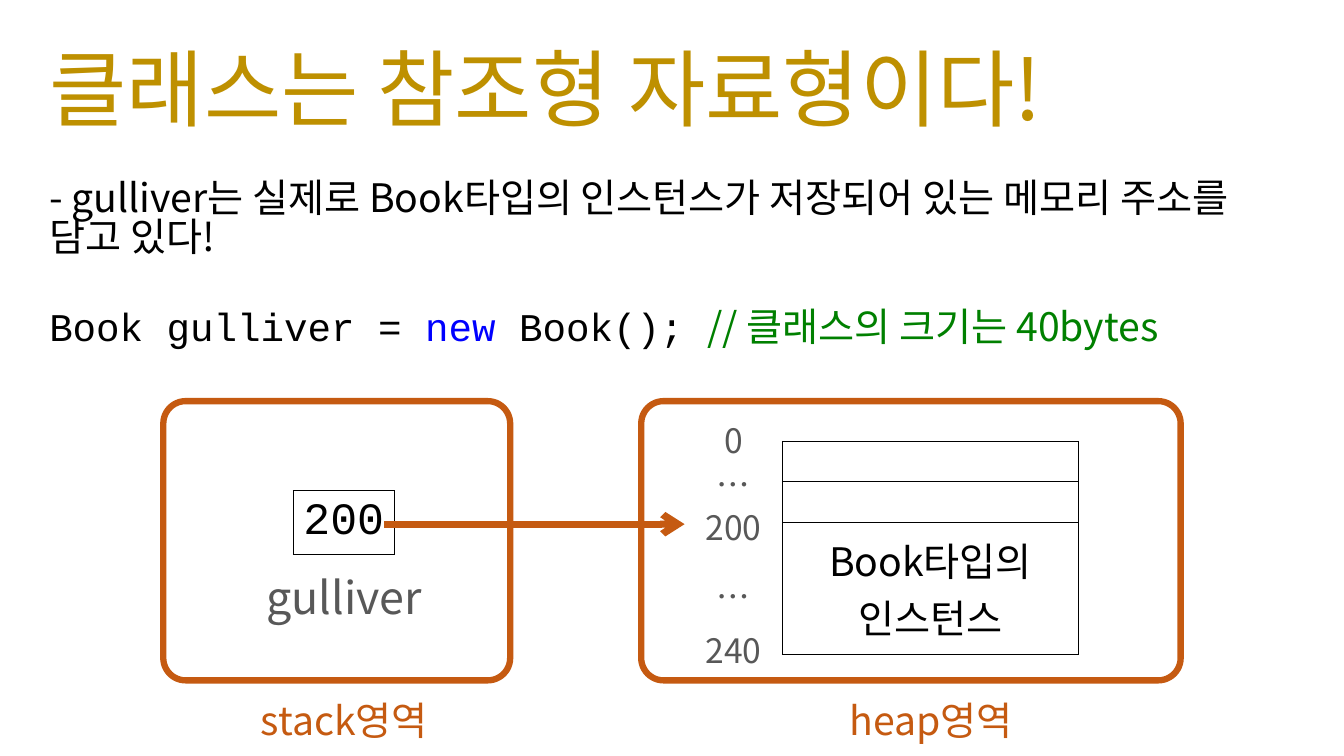
from dataclasses import dataclass

from lxml.etree import SubElement
from pptx import Presentation
from pptx.dml.color import RGBColor
from pptx.enum.shapes import MSO_CONNECTOR, MSO_SHAPE
from pptx.enum.text import MSO_ANCHOR, PP_ALIGN
from pptx.oxml.ns import qn
from pptx.util import Pt

PX = 9144


@dataclass(frozen=True)
class Theme:
    sans: str = "Noto Sans CJK KR"
    mono: str = "Courier New"
    gold: str = "BE9000"
    black: str = "000000"
    gray: str = "585858"
    blue: str = "0000FF"
    green: str = "008000"
    rust: str = "C55A11"
    head: int = 60
    large: int = 32
    body: int = 28
    small: int = 24


THEME = Theme()


def scale(*sizes):
    return [size * PX for size in sizes]


def style(run, size, color, face=THEME.sans):
    run.font.size = Pt(size)
    run.font.color.rgb = RGBColor.from_string(color)
    run.font.name = face
    SubElement(run._r.get_or_add_rPr(), qn("a:ea"), typeface=face)


def format_text(frame, size, color, face=THEME.sans, align=PP_ALIGN.CENTER):
    for line in frame.paragraphs:
        line.alignment = align
        for run in line.runs:
            style(run, size, color, face)


def add_text(slide, box, text, size, color, align=PP_ALIGN.CENTER, anchor=MSO_ANCHOR.TOP):
    frame = slide.shapes.add_textbox(*scale(*box)).text_frame
    frame.word_wrap = True
    frame.vertical_anchor = anchor
    frame.text = text
    format_text(frame, size, color, align=align)
    return frame


def add_title(slide, box, text):
    title = slide.shapes.title
    title.left, title.top, title.width, title.height = scale(*box)
    frame = title.text_frame
    frame.text = text
    frame.vertical_anchor = MSO_ANCHOR.MIDDLE
    frame.paragraphs[0].line_spacing = 0.9
    format_text(frame, THEME.head, THEME.gold, align=PP_ALIGN.LEFT)


def add_code(slide, box, parts):
    frame = add_text(slide, box, "", THEME.body, THEME.black, anchor=MSO_ANCHOR.MIDDLE)
    line = frame.paragraphs[0]
    line.alignment = PP_ALIGN.LEFT
    for text, color, face in parts:
        run = line.add_run()
        run.text = text
        style(run, THEME.body, color, face)


def add_border(cell):
    props = cell._tc.get_or_add_tcPr()
    for place, side in enumerate(("lnL", "lnR", "lnT", "lnB")):
        edge = props.makeelement(qn(f"a:{side}"), {"w": str(Pt(1))})
        fill = SubElement(edge, qn("a:solidFill"))
        SubElement(fill, qn("a:srgbClr"), val=THEME.black)
        props.insert(place, edge)


def add_cells(slide, box, rows, size, face):
    left, top, width = box
    high = sum(height for height, text in rows)
    holder = slide.shapes.add_table(len(rows), 1, *scale(left, top, width, high))
    table = holder.table
    table.first_row = table.horz_banding = False
    for row, (height, text) in enumerate(rows):
        table.rows[row].height = height * PX
        cell = table.cell(row, 0)
        cell.fill.background()
        add_border(cell)
        cell.margin_left = cell.margin_right = 5 * PX
        cell.vertical_anchor = MSO_ANCHOR.MIDDLE
        if text:
            cell.text_frame.text = text
            format_text(cell.text_frame, size, THEME.black, face)


def add_frame(slide, box, name, left, width):
    frame = slide.shapes.add_shape(MSO_SHAPE.ROUNDED_RECTANGLE, *scale(*box))
    frame.adjustments[0] = 0.08
    frame.shadow.inherit = False
    frame.fill.background()
    frame.line.color.rgb = RGBColor.from_string(THEME.rust)
    frame.line.width = Pt(4.5)
    label = (box[0] + left, box[1] + box[3] + 11, width, 57)
    add_text(slide, label, name, THEME.body, THEME.rust, anchor=MSO_ANCHOR.MIDDLE)


def add_stack(slide, box):
    left, top, width, height = box
    add_cells(slide, (left + 129, top + 89, 100), [(61, "200")], THEME.large, THEME.mono)
    name = (left + 79, top + 162, 201, 64)
    add_text(slide, name, "gulliver", THEME.large, THEME.gray)
    add_frame(slide, box, "stack영역", 40, 279)


def add_heap(slide, box):
    left, top, width, height = box
    rows = [(40, ""), (40, ""), (131, "Book타입의\n인스턴스")]
    add_cells(slide, (left + 140, top + 40, 294), rows, THEME.body, THEME.sans)
    marks = [(14, "0"), (57, "…"), (100, "200"), (168, "…"), (222, "240")]
    for drop, text in marks:
        add_text(slide, (left + 43, top + drop, 97, 50), text, THEME.small, THEME.gray)
    add_frame(slide, box, "heap영역", 148, 279)


def add_arrow(slide, start, end, level):
    arrow = slide.shapes.add_connector(
        MSO_CONNECTOR.STRAIGHT, *scale(start, level, end, level))
    arrow.line.color.rgb = RGBColor.from_string(THEME.rust)
    arrow.line.width = Pt(5)
    SubElement(arrow.line._get_or_add_ln(), qn("a:tailEnd"), type="arrow")
    SubElement(arrow._element.spPr, qn("a:effectLst"))


def main():
    deck = Presentation()
    deck.slide_width, deck.slide_height = scale(1333, 750)
    slide = deck.slides.add_slide(deck.slide_layouts[5])
    add_title(slide, (39, 20, 1150, 145), "클래스는 참조형 자료형이다!")
    note = "- gulliver는 실제로 Book타입의 인스턴스가 저장되어 있는 메모리 주소를 담고 있다!"
    frame = add_text(slide, (39, 175, 1229, 104), note,
                     THEME.body, THEME.black, PP_ALIGN.LEFT)
    frame.paragraphs[0].line_spacing = 0.83
    add_code(slide, (39, 295, 1229, 57), [
        ("Book gulliver = ", THEME.black, THEME.mono),
        ("new", THEME.blue, THEME.mono),
        (" Book(); ", THEME.black, THEME.mono),
        ("// 클래스의 크기는 40bytes", THEME.green, THEME.sans),
    ])
    add_stack(slide, (162, 398, 344, 277))
    add_heap(slide, (636, 398, 535, 277))
    add_arrow(slide, 381, 679, 520)
    deck.save("out.pptx")


if __name__ == "__main__":
    main()
